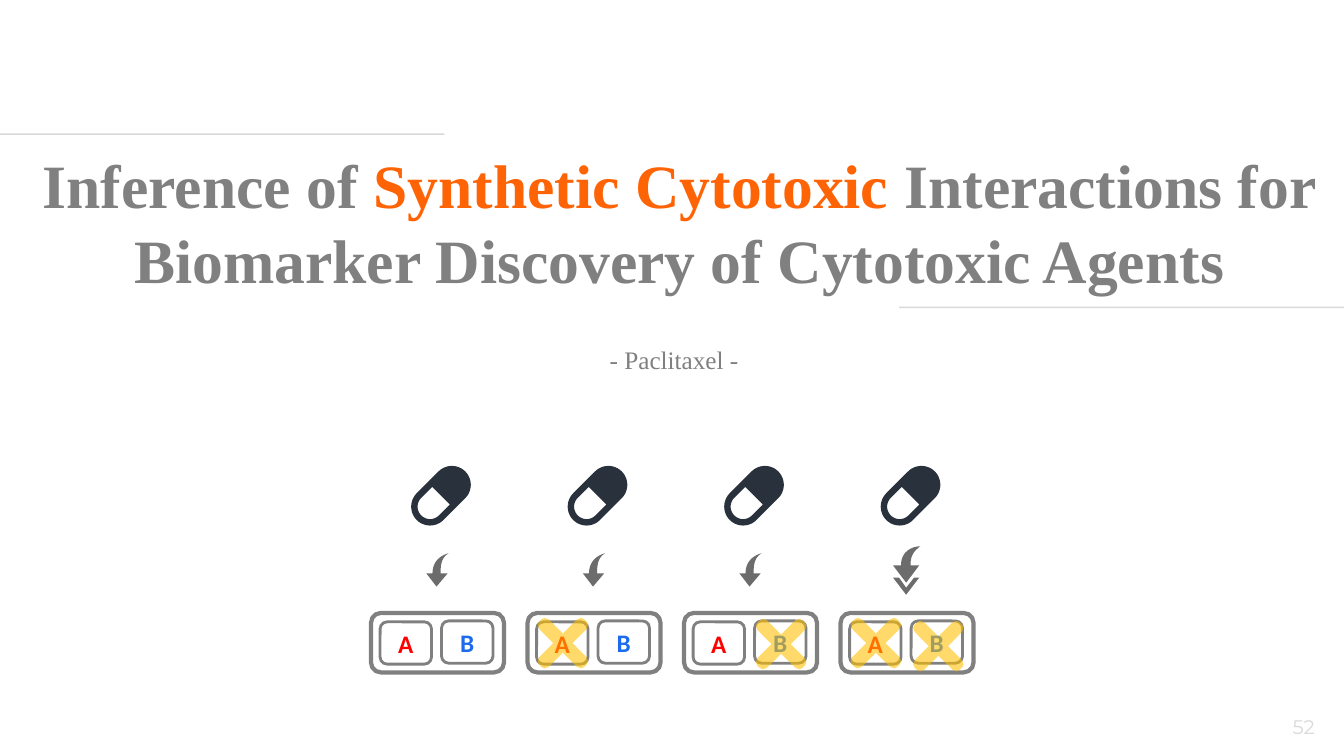
import math

import pptx
import pptx.dml.color
import pptx.enum.shapes
import pptx.enum.text
import pptx.oxml
import pptx.oxml.ns
import pptx.util

Pt = pptx.util.Pt
RGBColor = pptx.dml.color.RGBColor
Shapes = pptx.enum.shapes.MSO_SHAPE
Align = pptx.enum.text.PP_ALIGN
Anchor = pptx.enum.text.MSO_ANCHOR

GRAY = RGBColor(0x80, 0x80, 0x80)
ORANGE = RGBColor(0xFE, 0x64, 0x06)
PALE = RGBColor(0xD9, 0xD9, 0xD9)
NAVY = RGBColor(0x28, 0x31, 0x3C)
ARROW_GRAY = RGBColor(0x6C, 0x6C, 0x6C)
RED = RGBColor(0xFF, 0x00, 0x00)
BLUE = RGBColor(0x1C, 0x6B, 0xEC)
AMBER = RGBColor(0xFF, 0xC0, 0x00)

# Content
TITLE = [
    [("Inference of ", GRAY), ("Synthetic Cytotoxic", ORANGE), (" Interactions for", GRAY)],
    [("Biomarker Discovery of Cytotoxic Agents", GRAY)],
]
SUBTITLE = [[("- Paclitaxel -", GRAY)]]
PAGE_NUMBER = [[("52", PALE)]]
TITLE_FONT = {"name": "Times New Roman", "size": Pt(44), "bold": True}
SUBTITLE_FONT = {"name": "Times New Roman", "size": Pt(18)}
NUMBER_FONT = {"name": "Montserrat", "size": Pt(14)}
GENE_FONT = {"name": "Calibri", "size": Pt(18), "bold": True}
RULES = [(0, 317.5, 95.8), (642.2, 960, 219.6)]
GENES = [("A", RED, 6.5, 444.2), ("B", BLUE, 50.4, 443.5)]
# Cross centres in each cell (x from the cell's left edge), and whether the effect is strong
CELLS = [
    ([], False),
    ([(25.3, 459.4)], False),
    ([(69.4, 460.1)], False),
    ([(25.3, 459.4), (69.9, 461.5)], True),
]
CELL_LEFT, CELL_PITCH, CELL_TOP = 265, 111.8, 437.8


# Outlines
def arc(center, radius, start, steps=24):
    """Half circle, clockwise from the start angle."""
    angles = [math.radians(start + 180 * i / steps) for i in range(steps + 1)]
    return [(center[0] + radius * math.cos(a), center[1] + radius * math.sin(a)) for a in angles]


def curve(*controls, steps=16):
    """Points along a cubic curve."""
    points = []
    for i in range(steps + 1):
        t = i / steps
        weights = ((1 - t) ** 3, 3 * t * (1 - t) ** 2, 3 * t * t * (1 - t), t ** 3)
        points.append(tuple(sum(w * c[k] for w, c in zip(weights, controls)) for k in (0, 1)))
    return points


PILL_X, PILL_Y, PILL_REACH = 50, 354.1, 7.8
LOWER_END = (PILL_X - PILL_REACH, PILL_Y + PILL_REACH)
UPPER_END = (PILL_X + PILL_REACH, PILL_Y - PILL_REACH)
HOLE = 8.9
HOLE_CORNER = HOLE * math.sqrt(0.5)
PILL = [
    arc(UPPER_END, 13.5, -135) + arc(LOWER_END, 13.5, 45),
    arc(LOWER_END, HOLE, 45) + [(PILL_X - HOLE_CORNER, PILL_Y - HOLE_CORNER),
                                (PILL_X + HOLE_CORNER, PILL_Y + HOLE_CORNER)],
]
WEAK_ARROW = [
    curve((55.4, 395.3), (50.4, 398.2), (49.7, 403.2), (49.7, 409.7))
    + [(54.7, 409.7), (46.8, 419), (39.6, 409.7)]
    + curve((43.9, 409.7), (43.9, 397.4), (55.4, 395.3), (55.4, 395.3)),
]
STRONG_ARROW = [
    [(41.8, 412.6), (37.5, 412.6), (46.9, 424.8), (56.2, 412.6), (52.6, 412.6), (46.9, 419.8)],
    [(37.5, 403.9), (46.9, 416.2), (56.2, 403.9)]
    + curve((50, 403.9), (50, 398.2), (51.1, 394.6), (57, 390.2))
    + curve((57, 390.2), (57, 390.2), (43.2, 390.2), (43.2, 403.9)),
]
CROSS_ARM = [(6.9, 0), (16.9, -10.1), (18, -13), (17.2, -15), (15, -17.2), (13, -18), (10.1, -16.9)]
CROSS = []
for turn in range(4):
    CROSS += CROSS_ARM
    CROSS_ARM = [(y, -x) for x, y in CROSS_ARM]

presentation = pptx.Presentation()
presentation.slide_width, presentation.slide_height = Pt(960), Pt(540)
slide = presentation.slides.add_slide(presentation.slide_layouts[6])


# Drawing helpers
def write(frame, paragraphs, font, align, spacing=None):
    for i, runs in enumerate(paragraphs):
        paragraph = frame.paragraphs[0] if i == 0 else frame.add_paragraph()
        paragraph.alignment = align
        paragraph.line_spacing = spacing
        for text, color in runs:
            run = paragraph.add_run()
            run.text = text
            for name, value in font.items():
                setattr(run.font, name, value)
            run.font.color.rgb = color


def add_text(box, paragraphs, font, align, wrap=False, spacing=None):
    frame = slide.shapes.add_textbox(*map(Pt, box)).text_frame
    frame.word_wrap = wrap
    write(frame, paragraphs, font, align, spacing)


def set_alpha(shape, percent):
    for color in shape._element.spPr.iter(pptx.oxml.ns.qn("a:srgbClr")):
        alpha = color.makeelement(pptx.oxml.ns.qn("a:alpha"), {"val": str(percent * 1000)})
        color.append(alpha)


def add_outline(contours, left, top, color):
    moved = [[(Pt(left + x), Pt(top + y)) for x, y in contour] for contour in contours]
    builder = slide.shapes.build_freeform(*moved[0][0], scale=1.0)
    builder.add_line_segments(moved[0][1:], close=True)
    for contour in moved[1:]:
        builder.move_to(*contour[0])
        builder.add_line_segments(contour[1:], close=True)
    shape = builder.convert_to_shape()
    shape.shadow.inherit = False
    shape.fill.solid()
    shape.fill.fore_color.rgb = color
    shape.line.fill.background()
    return shape


def add_frame(box, width):
    shape = slide.shapes.add_shape(Shapes.ROUNDED_RECTANGLE, *map(Pt, box))
    shape.shadow.inherit = False
    shape.fill.background()
    shape.line.color.rgb = GRAY
    shape.line.width = Pt(width)
    return shape


# Title, subtitle, page number
add_text((907.2, 506.9, 48.2, 24.5), PAGE_NUMBER, NUMBER_FONT, Align.CENTER, wrap=True)
add_text((19.4, 101.5, 932.4, 113.8), TITLE, TITLE_FONT, Align.CENTER, spacing=Pt(53))
add_text((428.4, 242.6, 107.3, 28.8), SUBTITLE, SUBTITLE_FONT, Align.LEFT)

# Rules around the title
for start, end, y in RULES:
    rule = slide.shapes.add_connector(
        pptx.enum.shapes.MSO_CONNECTOR.STRAIGHT, Pt(start), Pt(y), Pt(end), Pt(y))
    rule.line.color.rgb = GRAY
    rule.line.width = Pt(1)
    set_alpha(rule, 30)
    rule._element.spPr.append(pptx.oxml.parse_xml(
        "<a:effectLst %s/>" % pptx.oxml.ns.nsdecls("a")))

# Cells: pill, arrow, gene pair, crosses on lost genes
for column, (crosses, strong) in enumerate(CELLS):
    left = CELL_LEFT + column * CELL_PITCH
    add_outline(PILL, left, 0, NAVY)
    add_outline(STRONG_ARROW if strong else WEAK_ARROW, left, 0, ARROW_GRAY)
    add_frame((left, CELL_TOP, 95, 42.5), 3)
    for gene, color, offset, top in GENES:
        frame = add_frame((left + offset, top, 36.7, 30.2), 2).text_frame
        frame.vertical_anchor = Anchor.MIDDLE
        write(frame, [[(gene, color)]], GENE_FONT, Align.CENTER)
    for x, y in crosses:
        set_alpha(add_outline([CROSS], left + x, y, AMBER), 59)

presentation.save("out.pptx")
